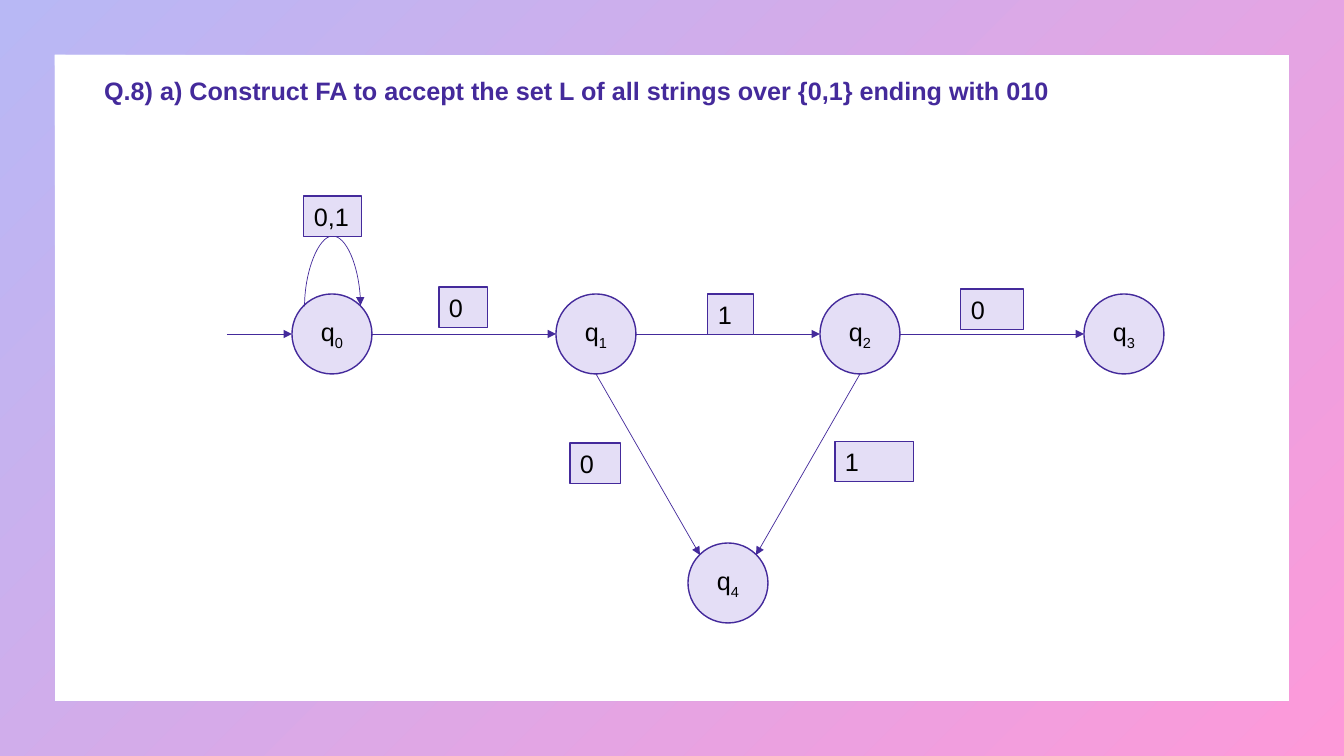
"""Build a slide with the state diagram of an automaton for strings ending in 010."""
from lxml import etree
from pptx import Presentation
from pptx import util as u
from pptx.dml.color import RGBColor
from pptx.enum import shapes, text
from pptx.oxml.ns import qn

PURPLE = RGBColor(0x44, 0x2A, 0x9B)
LILAC = RGBColor(0xE4, 0xDE, 0xF6)
BLACK = RGBColor(0, 0, 0)
FRAME_BLUE = RGBColor(0xB8, 0xB8, 0xF5)
FRAME_PINK = RGBColor(0xFD, 0x99, 0xD9)
PX = 914400 / 100.8
RADIUS, DIAGONAL = 40, 28
ROW_Y, FIRST_X, PITCH = 334, 332, 264


def px(*lengths):
    return [u.Emu(round(n * PX)) for n in lengths]


def add_arrow(kind, x1, y1, x2, y2):
    c = s.shapes.add_connector(kind, *px(x1, y1, x2, y2))
    c.line.color.rgb = PURPLE
    c.line.width = u.Pt(0.5)
    spPr = c._element.spPr
    etree.SubElement(spPr.find(qn("a:ln")), qn("a:tailEnd"), type="triangle")
    etree.SubElement(spPr, qn("a:effectLst"))
    return c


prs = Presentation()
prs.slide_width, prs.slide_height = px(1344, 756)
s = prs.slides.add_slide(prs.slide_layouts[5])

frame = s.shapes.add_shape(shapes.MSO_SHAPE.FRAME, *px(0, 0, 1344, 756))
frame.adjustments[0] = 0.072
frame.shadow.inherit = False
frame.line.fill.background()
frame.fill.gradient()
frame.fill.gradient_angle = 315
for stop, color in zip(frame.fill.gradient_stops, (FRAME_BLUE, FRAME_PINK)):
    stop.color.rgb = color

title = s.shapes.title
title.left, title.top, title.width, title.height = px(94, 70, 1154, 40)
tf = title.text_frame
tf.text = "Q.8) a) Construct FA to accept the set L of all strings over {0,1} ending with 010"
tf.auto_size = text.MSO_AUTO_SIZE.NONE
tf.vertical_anchor = text.MSO_ANCHOR.MIDDLE
p = tf.paragraphs[0]
p.alignment = text.PP_ALIGN.JUSTIFY
p.font.name, p.font.size, p.font.bold = "Arial", u.Pt(18), True
p.font.color.rgb = PURPLE

row = [(FIRST_X + PITCH * i, ROW_Y) for i in range(4)]
q4 = ((row[1][0] + row[2][0]) // 2, 583)
for i, (x, y) in enumerate(row + [q4]):
    sp = s.shapes.add_shape(shapes.MSO_SHAPE.OVAL,
                            *px(x - RADIUS, y - RADIUS, 2 * RADIUS, 2 * RADIUS))
    sp.shadow.inherit = False
    sp.fill.solid()
    sp.fill.fore_color.rgb = LILAC
    sp.line.color.rgb = PURPLE
    sp.line.width = u.Pt(1)
    p = sp.text_frame.paragraphs[0]
    p.alignment = text.PP_ALIGN.CENTER
    p.font.name, p.font.size = "Arial", u.Pt(18)
    p.font.color.rgb = BLACK
    p.add_run().text = "q"
    r = p.add_run()
    r.text = str(i)
    r.font._element.set("baseline", "-25000")

STRAIGHT = shapes.MSO_CONNECTOR.STRAIGHT
add_arrow(STRAIGHT, 227, ROW_Y, FIRST_X - RADIUS, ROW_Y)
for (x1, y1), (x2, y2) in zip(row, row[1:]):
    add_arrow(STRAIGHT, x1 + RADIUS, y1, x2 - RADIUS, y2)
for (x, y), side in zip(row[1:3], (-1, 1)):
    add_arrow(STRAIGHT, x, y + RADIUS, q4[0] + side * DIAGONAL, q4[1] - DIAGONAL)

loop_y = ROW_Y - DIAGONAL
loop = add_arrow(shapes.MSO_CONNECTOR.CURVE, FIRST_X + 1, loop_y + DIAGONAL,
                 FIRST_X, loop_y - DIAGONAL)
spPr = loop._element.spPr
spPr.find(qn("a:xfrm")).set("rot", "5400000")
etree.SubElement(spPr.find(qn("a:prstGeom")).find(qn("a:avLst")), qn("a:gd"),
                 name="adj1", fmla="val 7100000")

labels = [("0,1", 304, 196, 58), ("0", 439, 287, 49), ("1", 708, 294, 46),
          ("0", 961, 289, 63), ("0", 570, 443, 51), ("1", 835, 441, 79)]
for symbol, x, y, width in labels:
    sp = s.shapes.add_textbox(*px(x, y, width, 41))
    sp.fill.solid()
    sp.fill.fore_color.rgb = LILAC
    sp.line.color.rgb = PURPLE
    sp.line.width = u.Pt(0.75)
    tf = sp.text_frame
    tf.word_wrap = True
    tf.text = symbol
    p = tf.paragraphs[0]
    p.font.name, p.font.size = "Arial", u.Pt(18)
    p.font.color.rgb = BLACK

prs.save("out.pptx")
